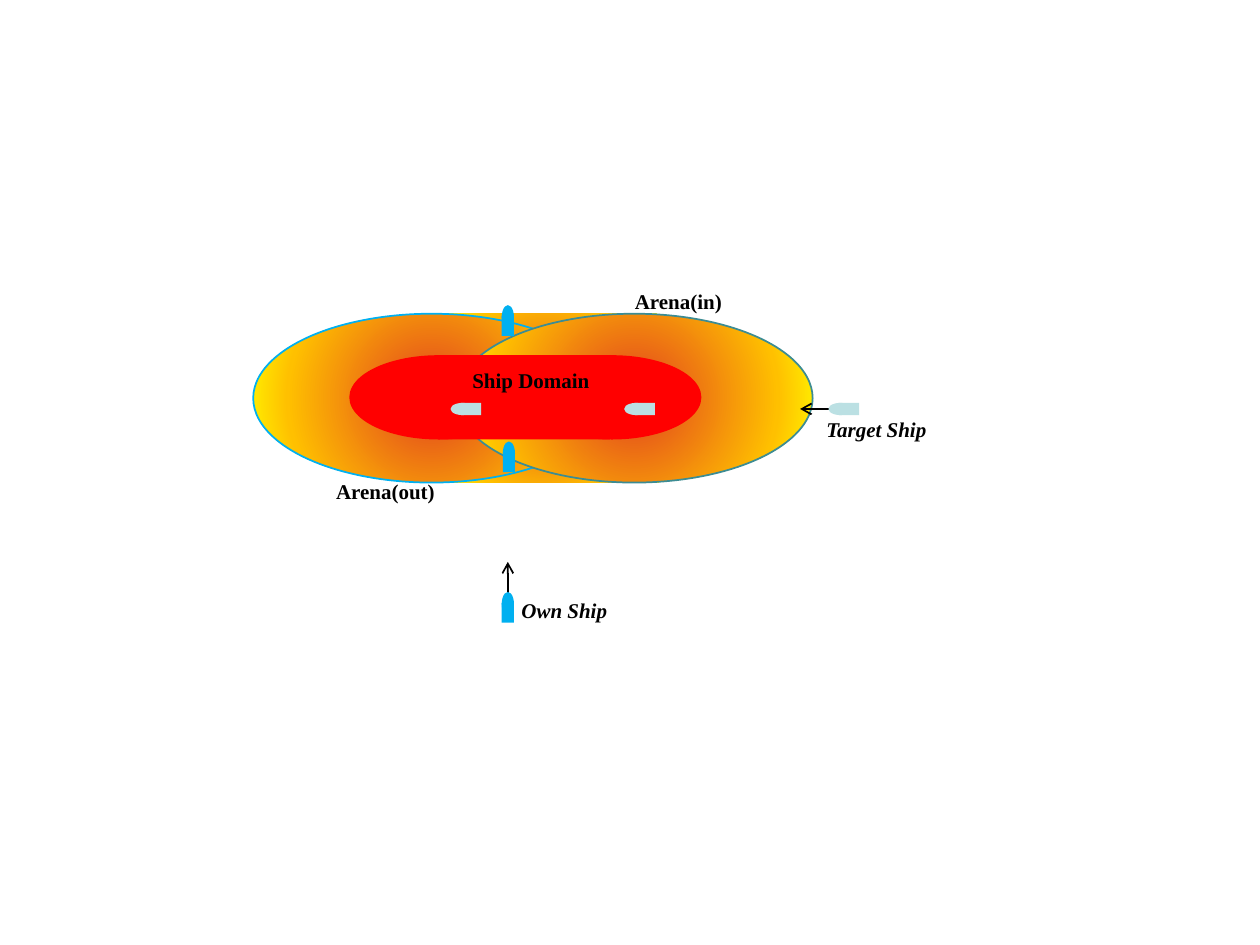
from dataclasses import dataclass

import pptx
import pptx.dml.color
import pptx.enum.shapes
import pptx.enum.text
import pptx.oxml
import pptx.oxml.ns
import pptx.util
from lxml import etree

Pt = pptx.util.Pt
OVAL = pptx.enum.shapes.MSO_SHAPE.OVAL
RECTANGLE = pptx.enum.shapes.MSO_SHAPE.RECTANGLE

BLACK, RED = "000000", "FF0000"
OWN_BLUE, TARGET_TEAL, ARENA_TEAL = "00B0F0", "BBE0E3", "3C8C93"
RISK_STOPS = ((3, RED), (14, "E75919"), (73, "FFC000"), (100, "FFFF00"))
ARENA_TOP, ARENA_HEIGHT = 179.3, 96.5
DOMAIN_TOP, DOMAIN_HEIGHT = 203, 48.2
SHIP_WIDTH, BOW_LENGTH, HULL_LENGTH, HULL_OFFSET = 7, 13.7, 11.5, 5
ARROW_LENGTH = 28.1


@dataclass
class Part:
    kind: int
    left: float
    top: float
    width: float
    height: float
    fill: str | None = None  # None means the risk gradient
    line: str | None = None
    rotation: float = 0


@dataclass
class Ship:
    """A ship placed by the centre of its bow."""
    x: float
    y: float
    color: str
    heading: int  # 0 north, 270 west


@dataclass
class Label:
    text: str
    left: float
    top: float
    width: float
    italic: bool = False


@dataclass
class Arrow:
    x: float
    y: float
    dx: float
    dy: float


ARENAS = (
    Part(RECTANGLE, 249.1, ARENA_TOP, 127.4, ARENA_HEIGHT),
    Part(OVAL, 144.7, ARENA_TOP, 203.8, ARENA_HEIGHT, line=OWN_BLUE),
    Part(OVAL, 260.6, ARENA_TOP, 203.8, ARENA_HEIGHT, line=ARENA_TEAL),
)
DOMAIN = (
    Part(OVAL, 199.6, DOMAIN_TOP, 102.2, DOMAIN_HEIGHT, RED),
    Part(OVAL, 298.6, DOMAIN_TOP, 102.2, DOMAIN_HEIGHT, RED),
    Part(RECTANGLE, 250.6, DOMAIN_TOP, 97.9, DOMAIN_HEIGHT, RED),
)
SHIPS = (
    Ship(264.3, 233.7, TARGET_TEAL, 270),
    Ship(363.5, 233.7, TARGET_TEAL, 270),
    Ship(290.2, 181.2, OWN_BLUE, 0),
    Ship(290.2, 345.1, OWN_BLUE, 0),
    Ship(290.8, 259.1, OWN_BLUE, 0),
    Ship(480.2, 233.7, TARGET_TEAL, 270),
)
ARROWS = (
    Arrow(290.2, 349.2, 0, -ARROW_LENGTH),
    Arrow(485.3, 233.7, -ARROW_LENGTH, 0),
)
LABELS = (
    Label("Own Ship", 290.9, 337.9, 67.7, italic=True),
    Label("Target Ship", 465.1, 234.5, 87.8, italic=True),
    Label("Arena(in)", 355.7, 161.3, 66.2),
    Label("Arena(out)", 185, 270, 75.6),
    Label("Ship Domain", 262.8, 206.6, 83.5),
)


def rgb(color: str) -> pptx.dml.color.RGBColor:
    return pptx.dml.color.RGBColor.from_string(color)


def fill_risk_gradient(shape) -> None:
    """Fill from red in the centre to yellow at the edge."""
    stops = "".join(
        f'<a:gs pos="{position * 1000}"><a:srgbClr val="{color}"/></a:gs>'
        for position, color in RISK_STOPS)
    gradient = pptx.oxml.parse_xml(
        f'<a:gradFill {pptx.oxml.ns.nsdecls("a")} rotWithShape="1">'
        f'<a:gsLst>{stops}</a:gsLst><a:path path="circle">'
        '<a:fillToRect l="50000" t="50000" r="50000" b="50000"/>'
        '</a:path></a:gradFill>')
    shape.fill.background()
    properties = shape._element.spPr
    properties.replace(properties.find(pptx.oxml.ns.qn("a:noFill")), gradient)


def draw_group(slide, parts) -> None:
    group = slide.shapes.add_group_shape()
    for part in parts:
        shape = group.shapes.add_shape(
            part.kind, Pt(part.left), Pt(part.top), Pt(part.width), Pt(part.height))
        shape.shadow.inherit = False
        shape.rotation = part.rotation
        if part.fill:
            shape.fill.solid()
            shape.fill.fore_color.rgb = rgb(part.fill)
        else:
            fill_risk_gradient(shape)
        if part.line:
            shape.line.color.rgb = rgb(part.line)
            shape.line.width = Pt(1)
        else:
            shape.line.fill.background()


def draw_ship(slide, ship: Ship) -> None:
    astern_x, astern_y = (0, HULL_OFFSET) if ship.heading == 0 else (HULL_OFFSET, 0)
    sections = ((OVAL, ship.x, ship.y, BOW_LENGTH),
                (RECTANGLE, ship.x + astern_x, ship.y + astern_y, HULL_LENGTH))
    draw_group(slide, [
        Part(kind, x - SHIP_WIDTH / 2, y - length / 2, SHIP_WIDTH, length,
             ship.color, rotation=ship.heading)
        for kind, x, y, length in sections])


def draw_arrow(slide, arrow: Arrow) -> None:
    connector = slide.shapes.add_connector(
        pptx.enum.shapes.MSO_CONNECTOR.STRAIGHT, Pt(arrow.x), Pt(arrow.y),
        Pt(arrow.x + arrow.dx), Pt(arrow.y + arrow.dy))
    connector.line.color.rgb = rgb(BLACK)
    connector.line.width = Pt(1)
    qn = pptx.oxml.ns.qn
    etree.SubElement(connector.line._get_or_add_ln(), qn("a:tailEnd"), type="arrow")
    etree.SubElement(connector._element.spPr, qn("a:effectLst"))


def draw_label(slide, label: Label) -> None:
    box = slide.shapes.add_textbox(
        Pt(label.left), Pt(label.top), Pt(label.width), Pt(21.8))
    frame = box.text_frame
    frame.word_wrap = True
    frame.auto_size = pptx.enum.text.MSO_AUTO_SIZE.SHAPE_TO_FIT_TEXT
    run = frame.paragraphs[0].add_run()
    run.text = label.text
    run.font.color.rgb = rgb(BLACK)
    font_format = {"name": "Times New Roman", "size": Pt(12),
                   "bold": True, "italic": label.italic}
    for attribute, value in font_format.items():
        setattr(run.font, attribute, value)


def main() -> None:
    presentation = pptx.Presentation()
    presentation.slide_width, presentation.slide_height = Pt(720), Pt(540)
    slide = presentation.slides.add_slide(presentation.slide_layouts[6])
    draw_group(slide, ARENAS)
    draw_group(slide, DOMAIN)
    for arrow in ARROWS:
        draw_arrow(slide, arrow)
    for ship in SHIPS:
        draw_ship(slide, ship)
    for label in LABELS:
        draw_label(slide, label)
    presentation.save("out.pptx")


if __name__ == "__main__":
    main()
